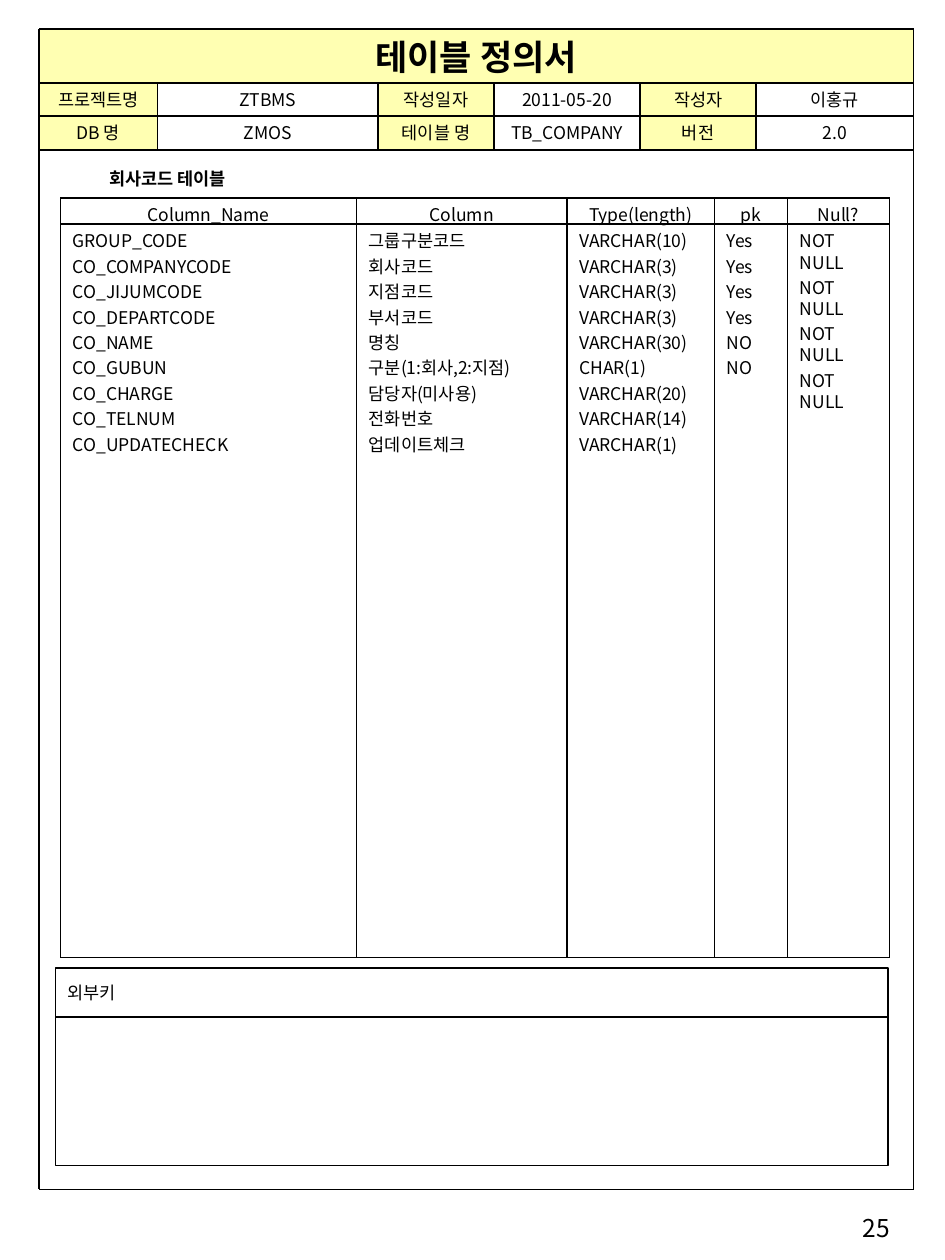
from dataclasses import dataclass, field
from itertools import product

from lxml import etree
from pptx import Presentation
from pptx.dml.color import RGBColor
from pptx.enum.shapes import MSO_CONNECTOR, MSO_SHAPE
from pptx.enum.text import MSO_ANCHOR, PP_ALIGN
from pptx.oxml.ns import qn
from pptx.util import Inches, Pt

LEFT, CENTER, RIGHT = PP_ALIGN.LEFT, PP_ALIGN.CENTER, PP_ALIGN.RIGHT
TOP, MIDDLE = MSO_ANCHOR.TOP, MSO_ANCHOR.MIDDLE
STRAIGHT, RECTANGLE = MSO_CONNECTOR.STRAIGHT, MSO_SHAPE.RECTANGLE

FONT = "Noto Sans CJK KR"
COLORS = {"ink": "000000", "label": "FFFF66"}
LINE_WIDTH = Pt(1)
PAGE_W, PAGE_H = 7.5, 10

FORM_COLS = [0.31, 1.25, 3, 3.92, 5.08, 6, 7.25]
FORM_ROWS = [0.23, 0.66, 0.92, 1.19]
FORM_BOTTOM = 9.44
TABLE_COLS = [0.48, 2.83, 4.5, 5.67, 6.25, 7.06]
TABLE_ROWS = [1.57, 1.78, 7.6]
KEY_COLS = [0.44, 7.05]
KEY_ROWS = [7.68, 8.07, 9.25]


@dataclass(frozen=True)
class Area:
    left: float
    top: float
    right: float
    bottom: float

    def bounds(self) -> list:
        return [Inches(v) for v in (self.left, self.top,
                                    self.right - self.left, self.bottom - self.top)]


@dataclass(frozen=True)
class Style:
    size: float = 10
    bold: bool = False
    align: PP_ALIGN = CENTER
    anchor: MSO_ANCHOR = TOP
    before: float = 0
    wrap: bool = True


@dataclass(frozen=True)
class Field:
    label: str
    value: str
    row: int
    col: int


@dataclass(frozen=True)
class Column:
    heading: str
    entries: list = field(default_factory=list)


TITLE = Style(size=20, bold=True, before=5)
LABEL = Style(before=2.5)
ENTRY = Style(align=LEFT, before=2.5)
VALUE = Style(anchor=MIDDLE, wrap=False)
SUBJECT = Style(bold=True, anchor=MIDDLE, wrap=False)
KEY = Style(align=LEFT, anchor=MIDDLE, wrap=False)
PAGE_NUMBER = Style(size=14, align=RIGHT)

FIELDS = [
    Field("프로젝트명", "ZTBMS", 1, 0),
    Field("작성일자", "2011-05-20", 1, 2),
    Field("작성자", "이홍규", 1, 4),
    Field("DB 명", "ZMOS", 2, 0),
    Field("테이블 명", "TB_COMPANY", 2, 2),
    Field("버전", "2.0", 2, 4),
]
COLUMNS = [
    Column("Column_Name", ["GROUP_CODE", "CO_COMPANYCODE", "CO_JIJUMCODE",
                           "CO_DEPARTCODE", "CO_NAME", "CO_GUBUN", "CO_CHARGE",
                           "CO_TELNUM", "CO_UPDATECHECK"]),
    Column("Column", ["그룹구분코드", "회사코드", "지점코드", "부서코드", "명칭",
                      "구분(1:회사,2:지점)", "담당자(미사용)", "전화번호", "업데이트체크"]),
    Column("Type(length)", ["VARCHAR(10)", "VARCHAR(3)", "VARCHAR(3)", "VARCHAR(3)",
                            "VARCHAR(30)", "CHAR(1)", "VARCHAR(20)", "VARCHAR(14)",
                            "VARCHAR(1)"]),
    Column("pk", ["Yes"] * 4 + ["NO"] * 2),
    Column("Null?", ["NOT NULL"] * 4),
]


def color(name: str) -> RGBColor:
    return RGBColor.from_string(COLORS[name])


def cell(cols: list, rows: list, col: int, row: int) -> Area:
    return Area(cols[col], rows[row], cols[col + 1], rows[row + 1])


def write(frame, lines: list, style: Style) -> None:
    layout = {"word_wrap": style.wrap, "vertical_anchor": style.anchor,
              "margin_left": Inches(0.1), "margin_right": Inches(0.1),
              "margin_top": Inches(0.05), "margin_bottom": Inches(0.05)}
    for name, setting in layout.items():
        setattr(frame, name, setting)
    for index, line in enumerate(lines):
        paragraph = frame.add_paragraph() if index else frame.paragraphs[0]
        paragraph.alignment = style.align
        paragraph.space_before = Pt(style.before)
        run = paragraph.add_run()
        run.text = line
        letters = {"size": Pt(style.size), "bold": style.bold, "name": FONT}
        for name, setting in letters.items():
            setattr(run.font, name, setting)
        run.font.color.rgb = color("ink")
        etree.SubElement(run.font._element, qn("a:ea"), typeface=FONT)


def add_text(slide, area: Area, lines: list, style: Style) -> None:
    write(slide.shapes.add_textbox(*area.bounds()).text_frame, lines, style)


def add_box(slide, area: Area):
    box = slide.shapes.add_shape(RECTANGLE, *area.bounds())
    box.shadow.inherit = False
    return box


def add_label(slide, area: Area, text: str, style: Style) -> None:
    label = add_box(slide, area)
    label.fill.solid()
    label.fill.fore_color.rgb = color("label")
    tint = label._element.spPr.find(".//" + qn("a:srgbClr"))
    etree.SubElement(tint, qn("a:alpha"), val="50000")
    label.line.fill.background()
    write(label.text_frame, [text], style)


def add_frame(slide, area: Area):
    frame = add_box(slide, area)
    frame.fill.background()
    frame.line.color.rgb = color("ink")
    frame.line.width = LINE_WIDTH
    return frame


def add_rule(slide, x1: float, y1: float, x2: float, y2: float) -> None:
    rule = slide.shapes.add_connector(STRAIGHT, *map(Inches, (x1, y1, x2, y2)))
    rule.line.color.rgb = color("ink")
    rule.line.width = LINE_WIDTH
    etree.SubElement(rule._element.spPr, qn("a:effectLst"))


def add_rules(slide, xs: list, ys: list, area: Area) -> None:
    for y in ys:
        add_rule(slide, area.left, y, area.right, y)
    for x in xs:
        add_rule(slide, x, area.top, x, area.bottom)


def draw_form(slide) -> None:
    left, right = FORM_COLS[0], FORM_COLS[-1]
    for item in FIELDS:
        add_label(slide, cell(FORM_COLS, FORM_ROWS, item.col, item.row),
                  item.label, LABEL)
    add_label(slide, Area(left, FORM_ROWS[0], right, FORM_ROWS[1]),
              "테이블 정의서", TITLE)
    add_rules(slide, [left, right], FORM_ROWS + [FORM_BOTTOM],
              Area(left, FORM_ROWS[0], right, FORM_BOTTOM))
    add_rules(slide, FORM_COLS[1:-1], [],
              Area(left, FORM_ROWS[1], right, FORM_ROWS[-1]))
    for item in FIELDS:
        add_text(slide, cell(FORM_COLS, FORM_ROWS, item.col + 1, item.row),
                 [item.value], VALUE)


def draw_columns(slide) -> None:
    add_text(slide, Area(0.58, 1.3, 2.08, 1.54), ["회사코드 테이블"], SUBJECT)
    for index, column in enumerate(COLUMNS):
        parts = [([column.heading], LABEL), (column.entries, ENTRY)]
        for row, (lines, style) in enumerate(parts):
            add_text(slide, cell(TABLE_COLS, TABLE_ROWS, index, row), lines, style)
    add_rules(slide, TABLE_COLS, TABLE_ROWS,
              Area(TABLE_COLS[0], TABLE_ROWS[0], TABLE_COLS[-1], TABLE_ROWS[-1]))


def draw_foreign_keys(slide) -> None:
    heading, _ = [add_frame(slide, cell(KEY_COLS, KEY_ROWS, col, row))
                  for col, row in product(range(1), range(2))]
    write(heading.text_frame, ["외부키"], KEY)


def main() -> None:
    deck = Presentation()
    deck.slide_width, deck.slide_height = Inches(PAGE_W), Inches(PAGE_H)
    slide = deck.slides.add_slide(deck.slide_layouts[6])
    draw_form(slide)
    draw_columns(slide)
    draw_foreign_keys(slide)
    add_text(slide, Area(5.6, 9.58, 7.16, 9.77), ["25"], PAGE_NUMBER)
    deck.save("out.pptx")


if __name__ == "__main__":
    main()
